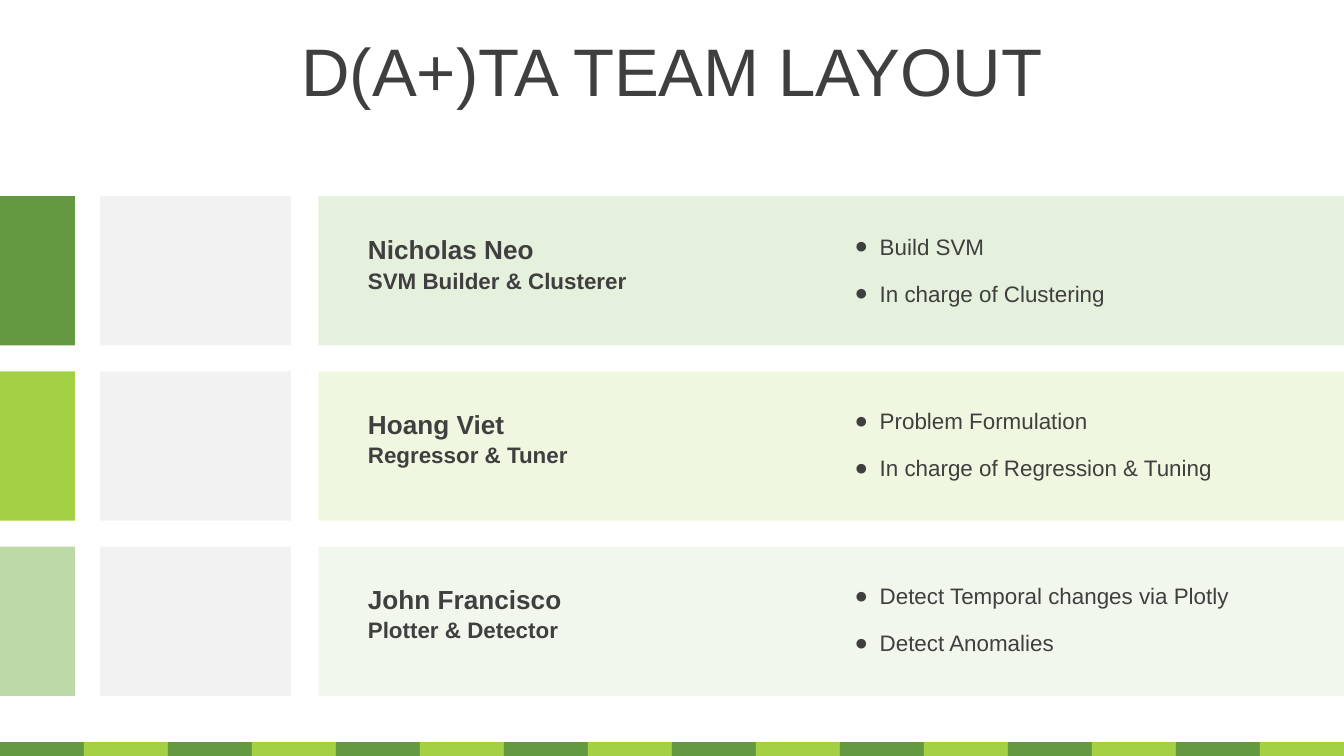
"""Build the team layout slide with three member rows."""
from dataclasses import dataclass

from lxml.etree import SubElement
from pptx import Presentation
from pptx.dml.color import RGBColor
from pptx.enum.shapes import MSO_SHAPE as Preset
from pptx.enum.text import MSO_ANCHOR as Anchor, PP_ALIGN as Align
from pptx.oxml.ns import qn
from pptx.util import Pt


@dataclass(frozen=True)
class Theme:
    font: str = "Arial"
    ink: str = "3F3F3F"
    photo: str = "F2F2F2"
    dark_green: str = "649941"
    lime: str = "A4D144"
    sage: str = "A0CA83"
    bands: tuple = ("BFDCAC", "DAECB2", "DFEDD5")
    band_opacity: int = 40
    sage_opacity: int = 70
    title_size: int = 36
    name_size: int = 14
    body_size: int = 12


THEME = Theme()
SLIDE_WIDTH, SLIDE_HEIGHT = 720, 405
FIRST_ROW, ROW_PITCH, ROW_HEIGHT = 105.1, 93.9, 80
TEXT_PITCH, DUTY_PITCH = 93.6, 25.2
STRIPE_COUNT = 16

TEAM = (
    ("Nicholas Neo", "SVM Builder & Clusterer",
     ("Build SVM", "In charge of Clustering")),
    ("Hoang Viet", "Regressor & Tuner",
     ("Problem Formulation", "In charge of Regression & Tuning")),
    ("John Francisco", "Plotter & Detector",
     ("Detect Temporal changes via Plotly", "Detect Anomalies")),
)


def add_block(slide, left, top, width, height, color, opacity=100):
    """Add a plain rectangle, optionally translucent."""
    block = slide.shapes.add_shape(
        Preset.RECTANGLE, Pt(left), Pt(top), Pt(width), Pt(height))
    block.shadow.inherit = False
    block.line.fill.background()
    block.fill.solid()
    block.fill.fore_color.rgb = RGBColor.from_string(color)
    if opacity < 100:
        tint = block.fill._xPr.find(qn("a:solidFill"))[0]
        SubElement(tint, qn("a:alpha"), val=str(opacity * 1000))


def add_label(slide, left, top, width, height, wording, size,
              bold=False, align=Align.LEFT):
    """Add one line of text and return its paragraph."""
    label = slide.shapes.add_textbox(Pt(left), Pt(top), Pt(width), Pt(height))
    frame = label.text_frame
    frame.word_wrap = True
    frame.vertical_anchor = Anchor.MIDDLE
    paragraph = frame.paragraphs[0]
    paragraph.alignment = align
    run = paragraph.add_run()
    run.text = wording
    run.font.name = THEME.font
    run.font.size = Pt(size)
    run.font.bold = bold
    run.font.color.rgb = RGBColor.from_string(THEME.ink)
    return paragraph


def add_duty(slide, top, wording):
    """Add one bulleted duty."""
    paragraph = add_label(slide, 450.7, top, 250.6, 21.6, wording, THEME.body_size)
    properties = paragraph._p.get_or_add_pPr()
    properties.set("marL", str(Pt(13.5)))
    properties.set("indent", str(Pt(-13.5)))
    bullet_color = SubElement(properties, qn("a:buClr"))
    SubElement(bullet_color, qn("a:srgbClr"), val=THEME.ink)
    SubElement(properties, qn("a:buFont"), typeface=THEME.font)
    SubElement(properties, qn("a:buChar"), char="●")


def add_row_blocks(slide, index):
    """Add the accent, photo area and band of one row."""
    top = FIRST_ROW + index * ROW_PITCH
    accent, opacity = ((THEME.dark_green, 100), (THEME.lime, 100),
                       (THEME.sage, THEME.sage_opacity))[index]
    add_block(slide, 170.6, top, SLIDE_WIDTH - 170.6, ROW_HEIGHT,
              THEME.bands[index], THEME.band_opacity)
    add_block(slide, 0, top, 40.2, ROW_HEIGHT, accent, opacity)
    add_block(slide, 53.7, top, 102.2, ROW_HEIGHT, THEME.photo)


def add_member(slide, index, name, role, duties):
    """Add the name, role and duties of one team member."""
    top = FIRST_ROW + index * TEXT_PITCH
    add_label(slide, 190, top + 18.7, 170, 19.4, name, THEME.name_size, bold=True)
    add_label(slide, 190, top + 35.4, 170, 19.4, role, THEME.body_size, bold=True)
    for line, duty in enumerate(duties):
        add_duty(slide, top + 16 + line * DUTY_PITCH, duty)


def add_footer(slide):
    """Add the strip of alternating greens."""
    width = SLIDE_WIDTH / STRIPE_COUNT
    for stripe in range(STRIPE_COUNT):
        color = (THEME.dark_green, THEME.lime)[stripe % 2]
        add_block(slide, stripe * width, 397.6, width, 8, color)


def main():
    """Build and save the slide."""
    deck = Presentation()
    deck.slide_width, deck.slide_height = Pt(SLIDE_WIDTH), Pt(SLIDE_HEIGHT)
    slide = deck.slides.add_slide(deck.slide_layouts[6])
    add_footer(slide)
    add_label(slide, 0, 14.4, SLIDE_WIDTH, 45.4, "D(A+)TA TEAM LAYOUT",
              THEME.title_size, align=Align.CENTER)
    for index, (name, role, duties) in enumerate(TEAM):
        add_row_blocks(slide, index)
        add_member(slide, index, name, role, duties)
    deck.save("out.pptx")


if __name__ == "__main__":
    main()
